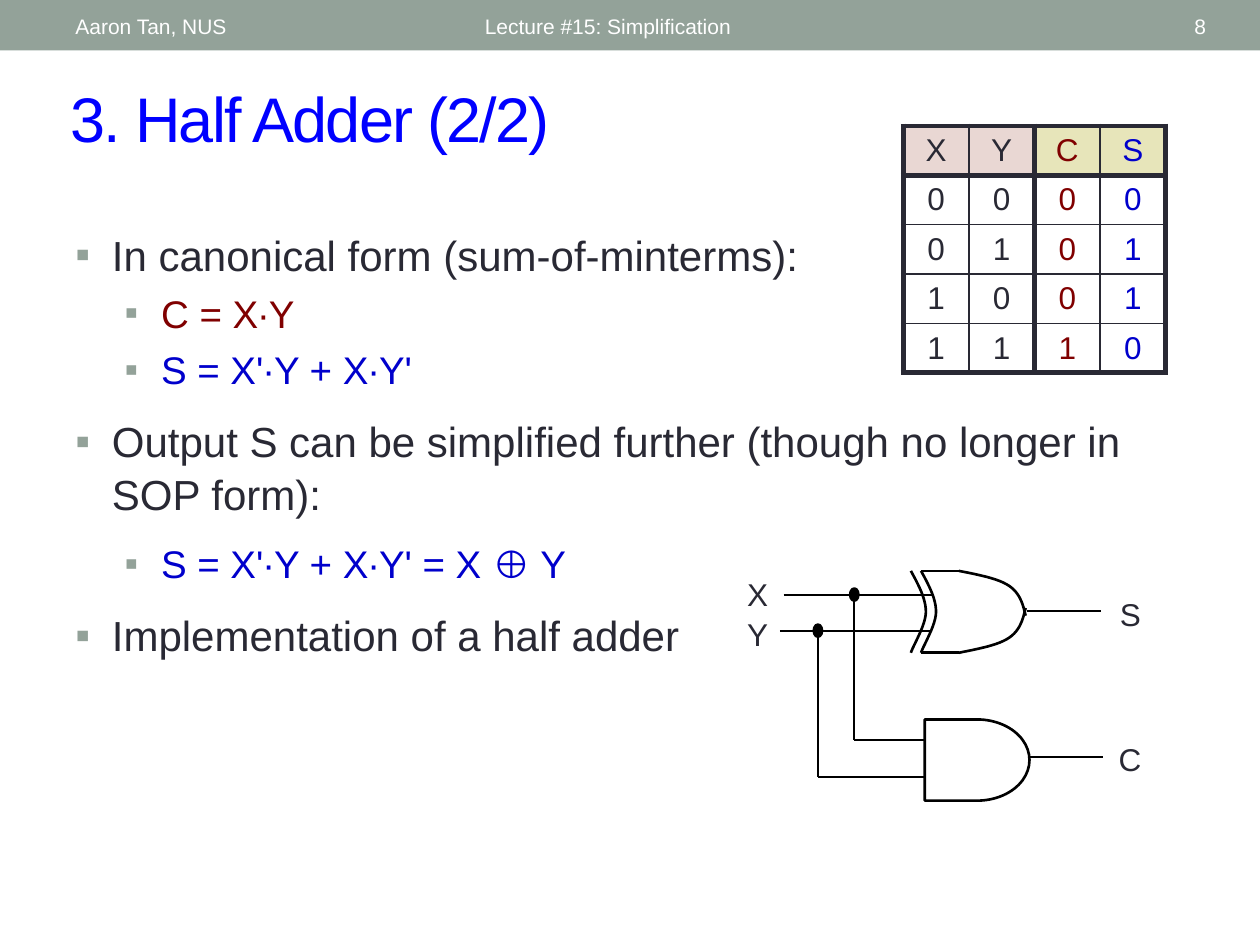
from dataclasses import dataclass
from typing import NamedTuple

import pptx
import pptx.util
import pptx.dml.color
import pptx.enum.shapes
import pptx.enum.text
import pptx.oxml
import pptx.oxml.ns

Pt = pptx.util.Pt
Align = pptx.enum.text.PP_ALIGN
Anchor = pptx.enum.text.MSO_ANCHOR
Preset = pptx.enum.shapes.MSO_SHAPE
Point = tuple[float, float]


@dataclass(frozen=True)
class Theme:
    font: str = "Arial"
    band: str = "93A299"
    title: str = "0000FF"
    ink: str = "292934"
    carry: str = "800000"
    sum: str = "0000CC"
    white: str = "FFFFFF"
    black: str = "000000"
    input_fill: str = "E9D7D3"
    output_fill: str = "E7E5BA"
    title_size: float = 36
    footer_size: float = 12
    label_size: float = 18
    level_sizes: tuple[float, float] = (24, 22)
    line_spacing: float = 1.05
    wire: float = 1.25
    outline: float = 1.5


THEME = Theme()


class Label(NamedTuple):
    lines: tuple[str, ...]
    left: float
    top: float
    width: float
    height: float
    size: float = THEME.label_size
    color: str = THEME.ink
    align: Align = Align.LEFT
    anchor: Anchor = Anchor.TOP
    tracking: int = 0


class Bullet(NamedTuple):
    text: str
    level: int
    color: str
    gap: float  # space before, as a share of the type size


class Wire(NamedTuple):
    start: Point
    end: Point
    weight: float = THEME.wire


def rgb(color: str) -> pptx.dml.color.RGBColor:
    return pptx.dml.color.RGBColor.from_string(color)


def add_run(paragraph, text: str, size: float, color: str):
    run = paragraph.add_run()
    run.text = text
    run.font.name = THEME.font
    run.font.size = Pt(size)
    run.font.color.rgb = rgb(color)
    return run


def add_frame(slide, left: float, top: float, width: float, height: float):
    box = slide.shapes.add_textbox(Pt(left), Pt(top), Pt(width), Pt(height))
    box.text_frame.word_wrap = True
    return box.text_frame


def next_paragraph(frame, index: int):
    return frame.add_paragraph() if index else frame.paragraphs[0]


def add_label(slide, label: Label) -> None:
    frame = add_frame(slide, label.left, label.top, label.width, label.height)
    frame.vertical_anchor = label.anchor
    for index, line in enumerate(label.lines):
        paragraph = next_paragraph(frame, index)
        paragraph.alignment = label.align
        paragraph.line_spacing = THEME.line_spacing
        run = add_run(paragraph, line, label.size, label.color)
        if label.tracking:
            run.font._element.set("spc", str(label.tracking))


def add_bullets(slide, bullets: list[Bullet]) -> None:
    frame = add_frame(slide, 36, 126, 648, 356.4)
    namespace = pptx.oxml.ns.nsdecls("a")
    for index, bullet in enumerate(bullets):
        paragraph = next_paragraph(frame, index)
        size = THEME.level_sizes[bullet.level]
        paragraph.level = bullet.level
        paragraph.line_spacing = THEME.line_spacing
        if index:
            paragraph.space_before = Pt(bullet.gap * size)
        properties = paragraph._p.get_or_add_pPr()
        properties.set("marL", str(Pt(20.9 + 28.1 * bullet.level)))
        properties.set("indent", str(Pt(-20.9)))
        for xml in (f'<a:buClr {namespace}><a:srgbClr val="{THEME.band}"/></a:buClr>',
                    f'<a:buFont {namespace} typeface="{THEME.font}"/>',
                    f'<a:buChar {namespace} char="▪"/>'):
            properties.append(pptx.oxml.parse_xml(xml))
        add_run(paragraph, bullet.text, size, bullet.color)


def add_truth_table(slide, rows: list[str]) -> None:
    side, row_height = 37.5, 27.4
    columns = len(rows[0])
    colors = (THEME.ink, THEME.ink, THEME.carry, THEME.sum)
    thick_columns, thick_rows = {0, 2, columns}, {0, 1, len(rows)}
    table = slide.shapes.add_table(len(rows), columns, Pt(516.2), Pt(72),
                                   Pt(side * columns), Pt(row_height * len(rows))).table
    table.first_row = table.horz_banding = False
    for column in table.columns:
        column.width = Pt(side)
    for r, row in enumerate(rows):
        table.rows[r].height = Pt(row_height)
        for c, value in enumerate(row):
            cell = table.cell(r, c)
            cell.margin_top = cell.margin_bottom = Pt(3.3)
            cell.vertical_anchor = Anchor.MIDDLE
            edges = {"L": c in thick_columns, "R": c + 1 in thick_columns,
                     "T": r in thick_rows, "B": r + 1 in thick_rows}
            for edge, thick in edges.items():
                cell._tc.get_or_add_tcPr().append(pptx.oxml.parse_xml(
                    f'<a:ln{edge} {pptx.oxml.ns.nsdecls("a")} w="{Pt(3 if thick else 1)}">'
                    f'<a:solidFill><a:srgbClr val="{THEME.ink}"/></a:solidFill></a:ln{edge}>'))
            if r == 0:
                cell.fill.solid()
                cell.fill.fore_color.rgb = rgb(THEME.input_fill if c < 2 else THEME.output_fill)
            else:
                cell.fill.background()
            paragraph = cell.text_frame.paragraphs[0]
            paragraph.alignment = Align.CENTER
            add_run(paragraph, value, THEME.label_size, colors[c])


def add_wire(slide, wire: Wire) -> None:
    line = slide.shapes.add_connector(pptx.enum.shapes.MSO_CONNECTOR.STRAIGHT,
                                      *map(Pt, wire.start + wire.end))
    line.line.color.rgb = rgb(THEME.black)
    line.line.width = Pt(wire.weight)
    line._element.spPr.append(pptx.oxml.parse_xml(f'<a:effectLst {pptx.oxml.ns.nsdecls("a")}/>'))


def style_shape(shape, fill: str | None, line: str | None, weight: float = 1) -> None:
    shape.shadow.inherit = False
    if fill:
        shape.fill.solid()
        shape.fill.fore_color.rgb = rgb(fill)
    else:
        shape.fill.background()
    if line:
        shape.line.color.rgb = rgb(line)
        shape.line.width = Pt(weight)
    else:
        shape.line.fill.background()


def add_preset(slide, preset: Preset, left: float, top: float, width: float, height: float,
               fill: str | None, line: str | None, weight: float = 1) -> None:
    shape = slide.shapes.add_shape(preset, Pt(left), Pt(top), Pt(width), Pt(height))
    style_shape(shape, fill, line, weight)


def add_curve(slide, knots: list[Point], steps: int = 12) -> None:
    """Draw a chain of cubic curves: a start, then three points for each curve."""
    points = []
    for first in range(0, len(knots) - 1, 3):
        for step in range(1, steps + 1):
            t = step / steps
            weights = ((1 - t) ** 3, 3 * t * (1 - t) ** 2, 3 * t * t * (1 - t), t ** 3)
            points.append(tuple(Pt(sum(w * knot[axis] for w, knot in zip(weights, knots[first:])))
                                for axis in (0, 1)))
    builder = slide.shapes.build_freeform(Pt(knots[0][0]), Pt(knots[0][1]))
    builder.add_line_segments(points, close=False)
    style_shape(builder.convert_to_shape(), None, THEME.black, THEME.outline)


def add_xor_gate(slide, left: float, top: float, bottom: float) -> None:
    for x in (left, left - 5.8):
        add_curve(slide, [(x, top), (x + 4.3, top + 7.9), (x + 8.6, top + 15.8), (x + 8.6, top + 23.4),
                          (x + 8.6, top + 31), (x + 1.4, top + 42.5), (x, bottom)])
    nose = left + 21.6
    upper = [(nose, top), (nose + 11, top + 2.2), (nose + 22.5, top + 4.3), (nose + 28.8, top + 8.6),
             (nose + 35.2, top + 13), (nose + 36.7, top + 19.4), (nose + 38.2, top + 25.6)]
    add_curve(slide, upper)
    add_curve(slide, [(x, top + bottom - y) for x, y in upper])
    for y in (top, bottom):
        add_wire(slide, Wire((left, y), (nose, y), THEME.outline))


def add_half_adder(slide) -> None:
    x_tap, y_tap, x_in, y_in = 488.2, 467.4, 339.8, 360.4
    x_turn, y_turn, and_left = 423, 444.2, 528.5
    add_preset(slide, Preset.FLOWCHART_DELAY, and_left, 411.1, 59.8, 46.4,
               None, THEME.black, THEME.outline)
    for wire in (Wire((447.8, x_in), (532.8, x_in)), Wire((445.7, y_in), (532.8, y_in)),
                 Wire((x_tap, x_in), (x_tap, x_turn)), Wire((x_tap, x_turn), (and_left, x_turn)),
                 Wire((y_tap, y_in), (y_tap, y_turn)), Wire((y_tap, y_turn), (and_left, y_turn)),
                 Wire((586.8, 349.2), (629.3, 349.2)), Wire((588.2, 432.7), (630, 432.7))):
        add_wire(slide, wire)
    for x, y in ((y_tap, y_in), (x_tap, x_in)):
        add_preset(slide, Preset.OVAL, x - 2.5, y - 3.6, 5, 7.2, THEME.black, THEME.black, THEME.wire)
    add_xor_gate(slide, 526.3, 326.2, 373)
    for label in (Label(("X", "Y"), 419.8, 324, 28.8, 39.6),
                  Label(("S",), 632.9, 335.5, 28.8, 25.2),
                  Label(("C",), 632.2, 418.3, 28.8, 25.2)):
        add_label(slide, label)


def main() -> None:
    deck = pptx.Presentation()
    deck.slide_width, deck.slide_height = Pt(720), Pt(540)
    slide = deck.slides.add_slide(deck.slide_layouts[6])

    # Header band and title
    add_preset(slide, Preset.RECTANGLE, 0, 0, 720, 28.8, THEME.band, None)
    for text, left, width, align in (("Aaron Tan, NUS", 36, 228, Align.LEFT),
                                     ("Lecture #15: Simplification", 270, 324, Align.LEFT),
                                     ("8", 627.8, 68.4, Align.RIGHT)):
        add_label(slide, Label((text,), left, 1.4, width, 25.9, THEME.footer_size,
                               THEME.white, align, Anchor.MIDDLE))
    add_label(slide, Label(("3. Half Adder (2/2)",), 33.1, 41, 653, 50.4, THEME.title_size,
                           THEME.title, anchor=Anchor.MIDDLE, tracking=-100))

    # Derivation
    add_bullets(slide, [
        Bullet("In canonical form (sum-of-minterms):", 0, THEME.ink, 0.2),
        Bullet("C = X∙Y", 1, THEME.carry, 0.2),
        Bullet("S = X'∙Y + X∙Y'", 1, THEME.sum, 0.2),
        Bullet("Output S can be simplified further (though no longer in SOP form):", 0, THEME.ink, 0.5),
        Bullet("S = X'∙Y + X∙Y' = X ⊕ Y", 1, THEME.sum, 0.5),
        Bullet("Implementation of a half adder", 0, THEME.ink, 0.5),
    ])

    # Truth table and circuit
    add_truth_table(slide, ["XYCS", "0000", "0101", "1001", "1110"])
    add_half_adder(slide)
    deck.save("out.pptx")


if __name__ == "__main__":
    main()
